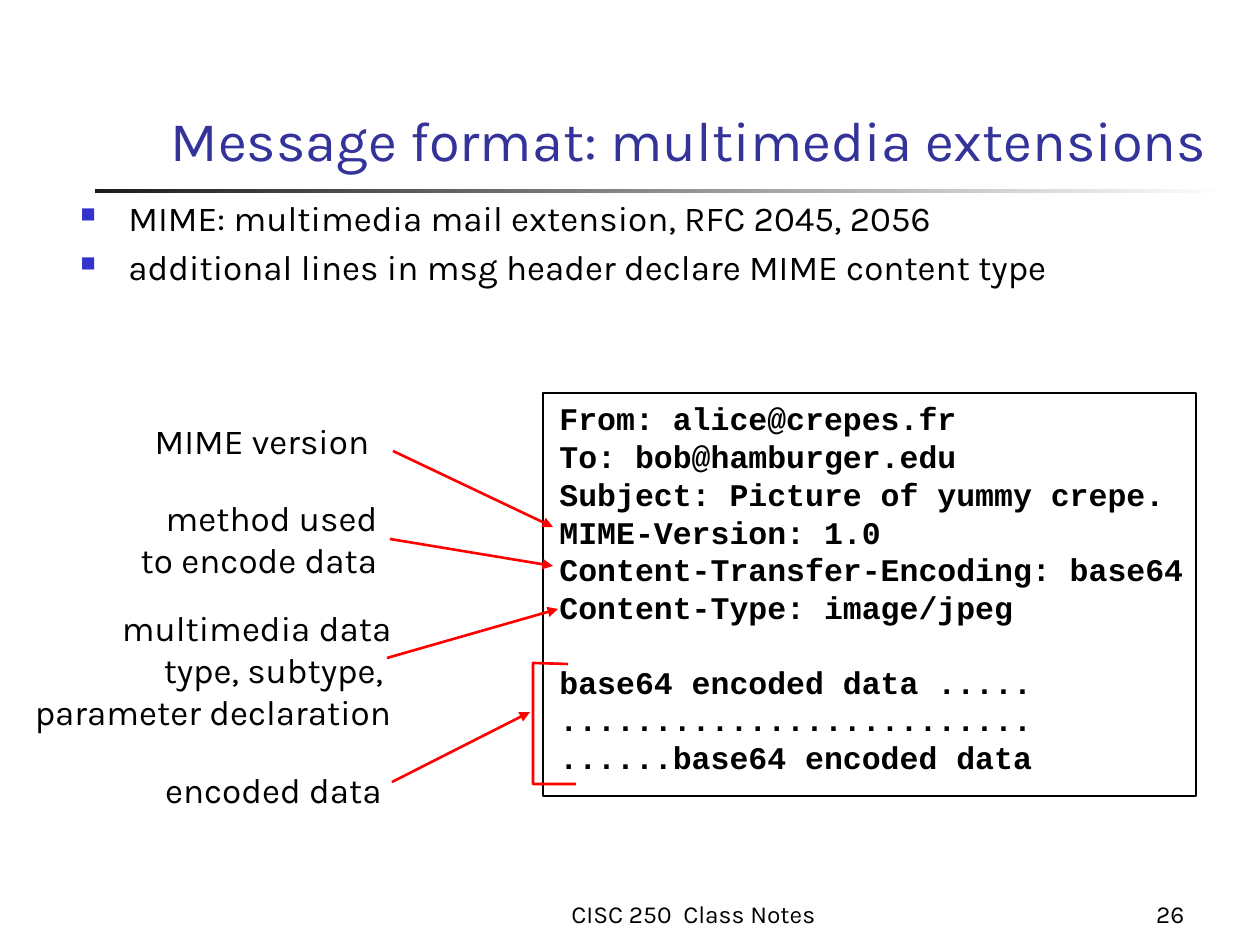
from lxml.etree import SubElement
from pptx import Presentation
from pptx.dml.color import RGBColor
from pptx.enum.shapes import MSO_CONNECTOR, MSO_SHAPE
from pptx.enum.text import MSO_ANCHOR, MSO_AUTO_SIZE, PP_ALIGN
from pptx.oxml.ns import qn
from pptx.util import Emu, Pt

BLACK = RGBColor(0x00, 0x00, 0x00)
CHARCOAL = RGBColor(0x1C, 0x1C, 0x1C)
WHITE = RGBColor(0xFF, 0xFF, 0xFF)
NAVY = RGBColor(0x33, 0x33, 0x99)
BLUE = RGBColor(0x33, 0x33, 0xCC)
RED = RGBColor(0xFF, 0x00, 0x00)

EMU_PER_PX = 914400 / 126
BODY_FONT = "Karla"
CODE_FONT = "Courier New"


def px(length):
    return Emu(round(length * EMU_PER_PX))


class SlideBuilder:
    def __init__(self, deck):
        self.page = deck.slides.add_slide(deck.slide_layouts[5])
        self.shapes = self.page.shapes

    def fill_text(self, shape, lines, size, color=BLACK, font=BODY_FONT,
                  bold=False, align=PP_ALIGN.LEFT, anchor=MSO_ANCHOR.TOP, wrap=True):
        frame = shape.text_frame
        frame.text = "\n".join(lines)
        frame.word_wrap = wrap
        frame.auto_size = MSO_AUTO_SIZE.NONE
        frame.vertical_anchor = anchor
        for para in frame.paragraphs:
            para.alignment = align
            for span in para.runs:
                span.font.name = font
                span.font.size = Pt(size)
                span.font.bold = bold
                span.font.color.rgb = color
        return frame.paragraphs

    def title(self, area, text):
        box = self.shapes.title
        box.left, box.top, box.width, box.height = map(px, area)
        self.fill_text(box, [text], 32, NAVY, anchor=MSO_ANCHOR.BOTTOM)

    def text(self, area, lines, size=20, **style):
        box = self.shapes.add_textbox(*map(px, area))
        return self.fill_text(box, lines, size, **style)

    def bullets(self, area, lines):
        for para in self.text(area, lines):
            para.space_before = Pt(4)
            properties = para._p.get_or_add_pPr()
            properties.set("marL", str(px(48)))
            properties.set("indent", str(-px(48)))
            color = SubElement(properties, qn("a:buClr"))
            SubElement(color, qn("a:srgbClr"), val=str(BLUE))
            SubElement(properties, qn("a:buSzPct"), val="60000")
            SubElement(properties, qn("a:buChar"), char="■")

    def rule(self, area):
        bar = self.shapes.add_shape(MSO_SHAPE.RECTANGLE, *map(px, area))
        bar.shadow.inherit = False
        bar.line.fill.background()
        bar.fill.gradient()
        bar.fill.gradient_angle = 0
        for stop, color, position in zip(bar.fill.gradient_stops, (CHARCOAL, WHITE), (0, 1)):
            stop.color.rgb = color
            stop.position = position

    def outline(self, shape, color, width):
        shape.shadow.inherit = False
        shape.fill.background()
        shape.line.color.rgb = color
        shape.line.width = Pt(width)

    def frame(self, area):
        self.outline(self.shapes.add_shape(MSO_SHAPE.RECTANGLE, *map(px, area)), BLACK, 1)

    def bracket(self, points):
        builder = self.shapes.build_freeform(*points[0], scale=EMU_PER_PX)
        builder.add_line_segments(points[1:], close=False)
        self.outline(builder.convert_to_shape(), RED, 1.5)

    def arrow(self, start, end):
        line = self.shapes.add_connector(MSO_CONNECTOR.STRAIGHT, *map(px, start + end))
        line.line.color.rgb = RED
        line.line.width = Pt(1.5)
        SubElement(line.line._get_or_add_ln(), qn("a:tailEnd"), type="triangle")
        SubElement(line._element.spPr, qn("a:effectLst"))


def main():
    deck = Presentation()
    deck.slide_width, deck.slide_height = px(1260), px(945)
    slide = SlideBuilder(deck)

    slide.rule((95, 189, 1134, 4))
    slide.title((158, 21, 1071, 158), "Message format: multimedia extensions")
    slide.bullets((68, 190, 1009, 640), [
        "MIME: multimedia mail extension, RFC 2045, 2056",
        "additional lines in msg header declare MIME content type",
    ])

    header = [
        "From: alice@crepes.fr",
        "To: bob@hamburger.edu",
        "Subject: Picture of yummy crepe.",
        "MIME-Version: 1.0",
        "Content-Transfer-Encoding: base64",
        "Content-Type: image/jpeg",
    ]
    data = [
        "base64 encoded data .....",
        "." * 25,
        "......base64 encoded data",
    ]
    message = slide.text((547, 393, 685, 428), header + data, 18, font=CODE_FONT, bold=True)
    message[len(header)].space_before = Pt(21)
    slide.frame((543, 393, 653, 403))

    labels = [
        ((134, 413, 256, 54), ["MIME version"], PP_ALIGN.CENTER),
        ((123, 490, 267, 97), ["method used", "to encode data"], PP_ALIGN.RIGHT),
        ((15, 600, 389, 139),
         ["multimedia data", "type, subtype, ", "parameter declaration"], PP_ALIGN.RIGHT),
        ((152, 762, 243, 54), ["encoded data"], PP_ALIGN.CENTER),
    ]
    for area, lines, align in labels:
        slide.text(area, lines, align=align, wrap=False)

    arrows = [
        ((393, 451), (553, 527)),
        ((390, 539), (553, 566)),
        ((387, 658), (558, 609)),
        ((392, 782), (530, 712)),
    ]
    for start, end in arrows:
        slide.arrow(start, end)
    slide.bracket([(568, 664), (533, 663), (533, 784), (576, 784)])

    slide.text((431, 872, 525, 63), ["CISC 250  Class Notes"], 14,
               align=PP_ALIGN.CENTER, anchor=MSO_ANCHOR.BOTTOM)
    slide.text((1081, 872, 116, 63), ["26"], 14,
               align=PP_ALIGN.RIGHT, anchor=MSO_ANCHOR.BOTTOM)

    deck.save("out.pptx")


if __name__ == "__main__":
    main()
